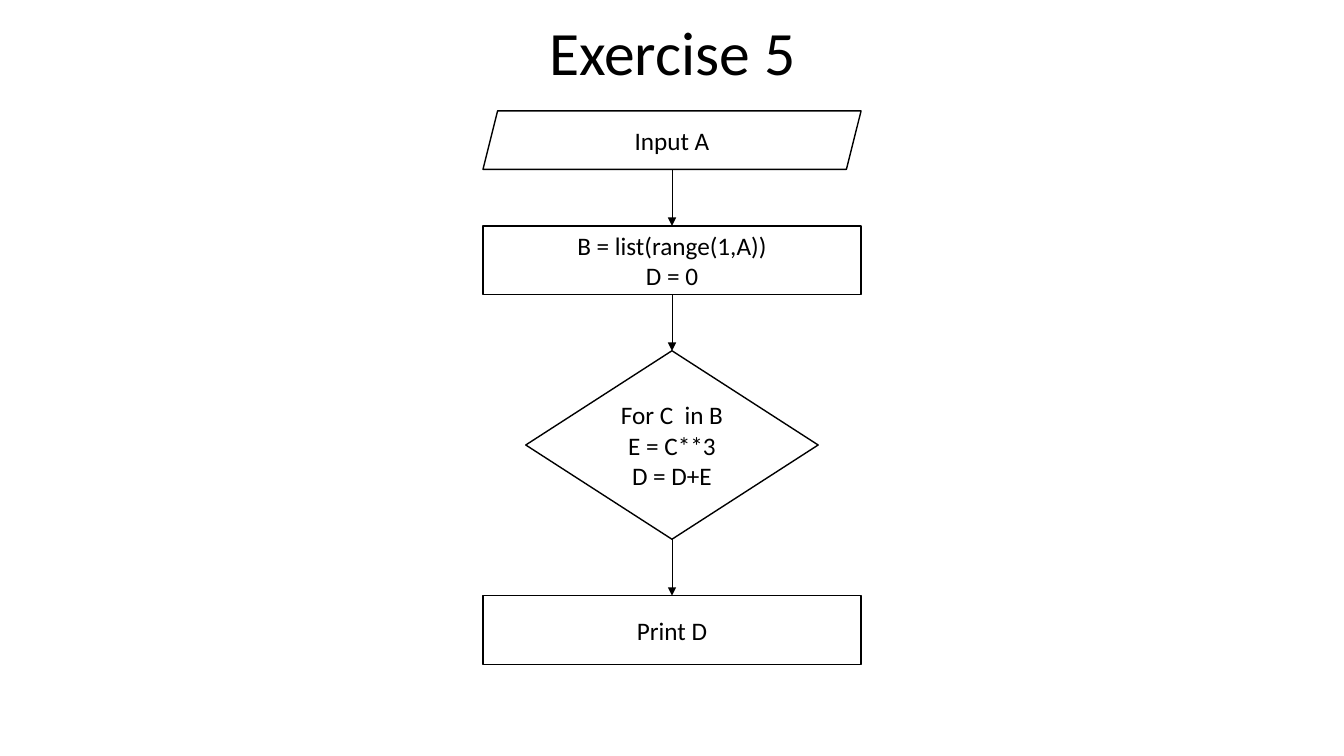
from dataclasses import dataclass

from pptx import Presentation
from pptx.dml.color import RGBColor
from pptx.enum.shapes import MSO_CONNECTOR, MSO_SHAPE
from pptx.enum.text import MSO_ANCHOR, PP_ALIGN
from pptx.oxml.ns import qn
from pptx.util import Inches, Pt
from lxml import etree

PARALLELOGRAM = MSO_SHAPE.PARALLELOGRAM
RECTANGLE = MSO_SHAPE.RECTANGLE
DIAMOND = MSO_SHAPE.DIAMOND
STRAIGHT = MSO_CONNECTOR.STRAIGHT
CENTER = PP_ALIGN.CENTER
MIDDLE = MSO_ANCHOR.MIDDLE
TOP_SIDE, BOTTOM_SIDE = 0, 2

TITLE = "Exercise 5"
STEPS = [
    (PARALLELOGRAM, 3.75, 0.58, ["Input A"]),
    (RECTANGLE, 3.75, 0.68, ["B = list(range(1,A))", "D = 0"]),
    (DIAMOND, 2.9, 1.87, ["For C  in B", "E = C**3", "D = D+E"]),
    (RECTANGLE, 3.75, 0.68, ["Print D"]),
]
SLIDE_WIDTH, SLIDE_HEIGHT = 13.33, 7.5
FLOW_TOP, FLOW_GAP = 1.1, 0.56
FLOW_CENTER = SLIDE_WIDTH / 2


@dataclass(frozen=True)
class Theme:
    font: str = "Calibri"
    ink: RGBColor = RGBColor(0, 0, 0)
    paper: RGBColor = RGBColor(255, 255, 255)
    title_size: float = 44
    step_size: float = 18
    outline: float = 1
    arrow: float = 0.5


THEME = Theme()


def write_text(frame, lines, size):
    frame.text = "\n".join(lines)
    frame.word_wrap = True
    frame.vertical_anchor = MIDDLE
    for para in frame.paragraphs:
        para.alignment = CENTER
        for span in para.runs:
            span.font.name = THEME.font
            span.font.size = Pt(size)
            span.font.color.rgb = THEME.ink


def add_title(page):
    title = page.shapes.title
    title.left, title.top = Inches(0.92), Inches(0.17)
    title.width, title.height = Inches(11.5), Inches(0.77)
    write_text(title.text_frame, [TITLE], THEME.title_size)
    title.text_frame.paragraphs[0].line_spacing = 0.9


def add_step(page, kind, top, width, height, lines):
    box = page.shapes.add_shape(
        kind, Inches(FLOW_CENTER - width / 2), Inches(top), Inches(width), Inches(height)
    )
    box.shadow.inherit = False
    box.fill.solid()
    box.fill.fore_color.rgb = THEME.paper
    box.line.color.rgb = THEME.ink
    box.line.width = Pt(THEME.outline)
    write_text(box.text_frame, lines, THEME.step_size)
    return box


def add_arrow(page, upper, lower):
    center = Inches(FLOW_CENTER)
    arrow = page.shapes.add_connector(
        STRAIGHT, center, upper.top + upper.height, center, lower.top
    )
    if upper.auto_shape_type != PARALLELOGRAM:
        arrow.begin_connect(upper, BOTTOM_SIDE)
    arrow.end_connect(lower, TOP_SIDE)
    arrow.line.color.rgb = THEME.ink
    arrow.line.width = Pt(THEME.arrow)
    etree.SubElement(arrow.line._get_or_add_ln(), qn("a:tailEnd"), type="triangle")
    etree.SubElement(arrow._element.spPr, qn("a:effectLst"))


def main():
    deck = Presentation()
    deck.slide_width, deck.slide_height = Inches(SLIDE_WIDTH), Inches(SLIDE_HEIGHT)
    page = deck.slides.add_slide(deck.slide_layouts.get_by_name("Title Only"))
    add_title(page)

    boxes = []
    top = FLOW_TOP
    for kind, width, height, lines in STEPS:
        boxes.append(add_step(page, kind, top, width, height, lines))
        top += height + FLOW_GAP
    for upper, lower in zip(boxes, boxes[1:]):
        add_arrow(page, upper, lower)

    deck.save("out.pptx")


if __name__ == "__main__":
    main()
